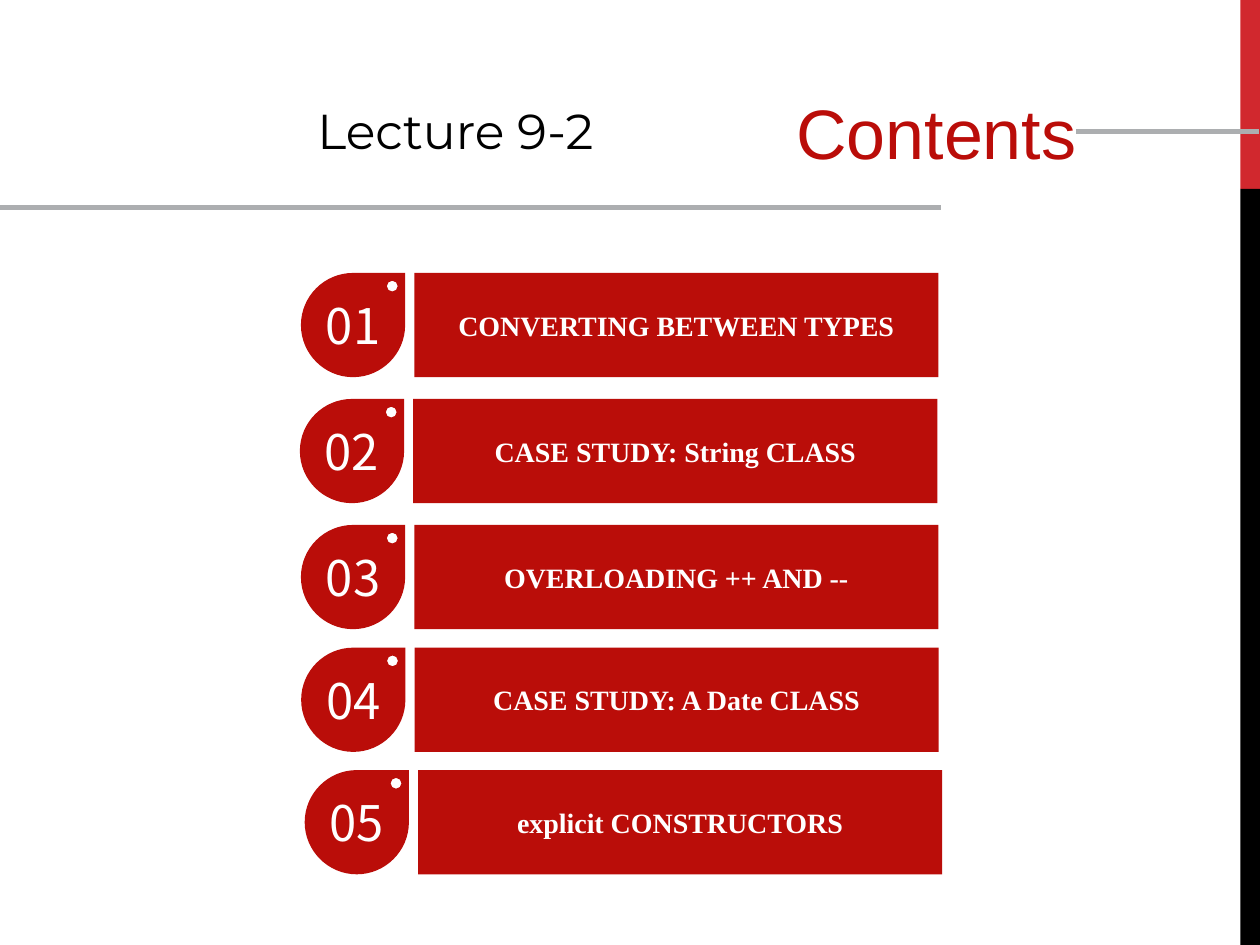
from lxml.etree import SubElement
from pptx import Presentation
from pptx.dml.color import RGBColor as Color
from pptx.enum.shapes import MSO_CONNECTOR as Connector, MSO_SHAPE as Shape
from pptx.enum.text import MSO_ANCHOR as Anchor, PP_ALIGN as Align
from pptx.oxml.ns import qn
from pptx.util import Inches, Pt

THEME = {
    "red": Color.from_string("BA0D09"),
    "band": Color.from_string("D1282E"),
    "black": Color.from_string("000000"),
    "white": Color.from_string("FFFFFF"),
    "gray": Color.from_string("ACAEB0"),
    "rule": Pt(3),
    "title": {"name": "Arial", "size": Pt(40)},
    "lecture": {"name": "Montserrat", "size": Pt(28)},
    "number": {"name": "Noto Sans CJK JP", "size": Pt(28)},
    "topic": {"name": "Times New Roman", "size": Pt(16), "bold": True},
}

deck = Presentation()
deck.slide_width, deck.slide_height = Inches(10), Inches(7.5)
page = deck.slides.add_slide(deck.slide_layouts[6])

# Grid of 100 columns by 75 rows, with square cells
CELL = deck.slide_width / 100


def grid(*cells):
    return [round(cell * CELL) for cell in cells]


def write(shape, text, font, color, align, **frame_format):
    frame = shape.text_frame
    for name, value in {"word_wrap": True, "vertical_anchor": Anchor.MIDDLE, **frame_format}.items():
        setattr(frame, name, value)
    para = frame.paragraphs[0]
    para.alignment = align
    span = para.add_run()
    span.text = text
    for name, value in THEME[font].items():
        setattr(span.font, name, value)
    span.font.color.rgb = THEME[color]


# Agenda rows: left column, top row, topic
SIZE, BAR_OFFSET, BAR_WIDTH = 8.27, 9, 41.6
agenda = [
    (23.88, 21.66, "CONVERTING BETWEEN TYPES"),
    (23.8, 31.66, "CASE STUDY: String CLASS"),
    (23.88, 41.66, "OVERLOADING ++ AND --"),
    (23.9, 51.4, "CASE STUDY: A Date CLASS"),
    (24.18, 61.12, "explicit CONSTRUCTORS"),
]

# Side band and topic bars
bars = [(98.44, 0, 1.56, 15, "band", ""), (98.44, 15, 1.56, 60, "black", "")]
bars += [(left + BAR_OFFSET, top, BAR_WIDTH, SIZE, "red", topic) for left, top, topic in agenda]
for *place, color, topic in bars:
    bar = page.shapes.add_shape(Shape.RECTANGLE, *grid(*place))
    bar.shadow.inherit = False
    bar.fill.solid()
    bar.fill.fore_color.rgb = THEME[color]
    bar.line.fill.background()
    if topic:
        write(bar, topic, "topic", "white", Align.CENTER)

# Teardrop outline: quarter curves as (center, radius, start and end directions)
RADIUS, HOLE, HOLE_X, HOLE_Y, BEND = SIZE / 2, 0.43, 7.25, 1.05, 0.55
UP, RIGHT, DOWN, LEFT = (0, -1), (1, 0), (0, 1), (-1, 0)
hole_turns = [(UP, LEFT), (LEFT, DOWN), (DOWN, RIGHT), (RIGHT, UP)]
drop_turns = [(RIGHT, DOWN), (DOWN, LEFT), (LEFT, UP)]
outline = [("moveTo", [(HOLE_X, HOLE_Y - HOLE)])]
for middle_x, middle_y, radius, turns in [(HOLE_X, HOLE_Y, HOLE, hole_turns),
                                          (RADIUS, RADIUS, RADIUS, drop_turns)]:
    if turns is drop_turns:
        outline += [("close", []), ("moveTo", [(RADIUS, 0)]),
                    ("lnTo", [(SIZE, 0)]), ("lnTo", [(SIZE, RADIUS)])]
    for (ax, ay), (bx, by) in turns:
        bends = [(ax + BEND * bx, ay + BEND * by), (bx + BEND * ax, by + BEND * ay), (bx, by)]
        outline.append(("cubicBezTo", [(middle_x + radius * x, middle_y + radius * y)
                                       for x, y in bends]))
outline.append(("close", []))

# Numbered teardrops
for number, (left, top, _) in enumerate(agenda, start=1):
    builder = page.shapes.build_freeform(*grid(left, top))
    builder.add_line_segments([grid(left + SIZE, top), grid(left + SIZE, top + SIZE)])
    drop = builder.convert_to_shape()
    curve = next(drop._element.iter(qn("a:path")))
    for step in list(curve):
        curve.remove(step)
    for command, points in outline:
        step = SubElement(curve, qn(f"a:{command}"))
        for point in points:
            x, y = grid(*point)
            SubElement(step, qn("a:pt"), x=str(x), y=str(y))
    drop.shadow.inherit = False
    drop.fill.solid()
    drop.fill.fore_color.rgb = THEME["red"]
    drop.line.fill.background()
    write(drop, f"{number:02}", "number", "white", Align.CENTER)

# Headings
title = page.shapes.add_textbox(*grid(50.1, 7.3, 36.3, 11.6))
write(title, "Contents", "title", "red", Align.RIGHT, margin_bottom=grid(5.75)[0])
lecture = page.shapes.add_textbox(*grid(24.2, 7.5, 26.5, 5.7))
write(lecture, "Lecture 9-2", "lecture", "black", Align.LEFT,
      word_wrap=False, vertical_anchor=Anchor.TOP)

# Gray rules
for start, end, row in [(85.4, 99.9, 10.45), (-0.1, 74.7, 16.45)]:
    rule = page.shapes.add_connector(Connector.STRAIGHT, *grid(start, row, end, row))
    rule.line.color.rgb = THEME["gray"]
    rule.line.width = THEME["rule"]
    SubElement(rule._element.spPr, qn("a:effectLst"))

deck.save("out.pptx")
